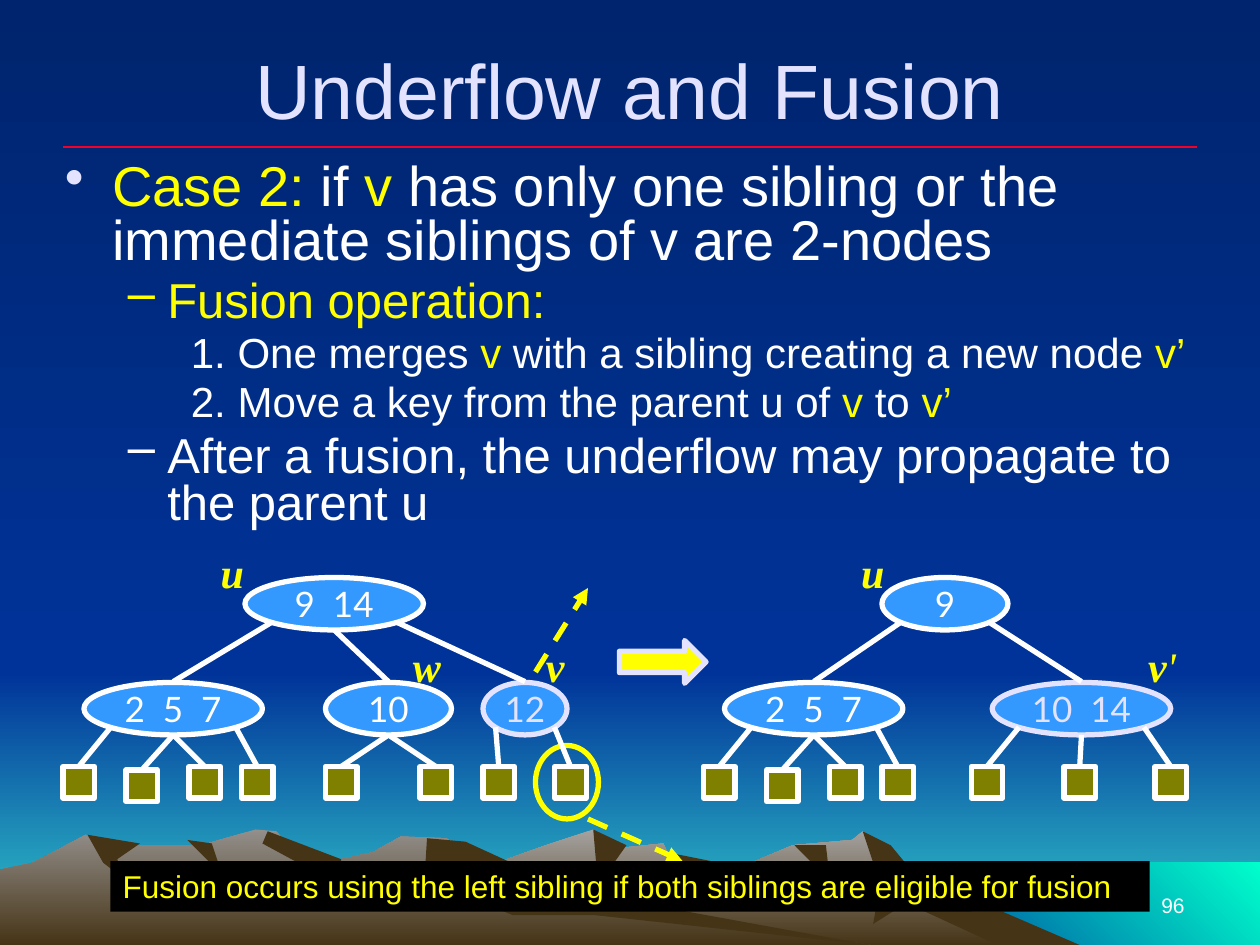
"""Build the slide on underflow and fusion in a (2,4) tree."""
import pptx
import pptx.dml.color
import pptx.enum.dml
import pptx.enum.shapes
import pptx.enum.text
import pptx.oxml
import pptx.oxml.ns
import pptx.util

Pt = pptx.util.Pt
RGBColor = pptx.dml.color.RGBColor
MSO_SHAPE = pptx.enum.shapes.MSO_SHAPE
PP_ALIGN = pptx.enum.text.PP_ALIGN
MSO_ANCHOR = pptx.enum.text.MSO_ANCHOR
qn = pptx.oxml.ns.qn

WHITE = RGBColor.from_string("FFFFFF")
YELLOW = RGBColor.from_string("FFFF00")
LAVENDER = RGBColor.from_string("E3E3FF")
BLACK = RGBColor.from_string("000000")
RED = RGBColor.from_string("EF0129")
NODE_BLUE = RGBColor.from_string("3399FF")
OLIVE = RGBColor.from_string("808000")
NIGHT = RGBColor.from_string("00246D")
SKY = RGBColor.from_string("003399")
TEAL = RGBColor.from_string("33CCCC")
AQUA = RGBColor.from_string("00FFCC")
BROWN = RGBColor.from_string("463416")
STONE = RGBColor.from_string("A5A29F")
DARK_STONE = RGBColor.from_string("938F8B")


def add_text(para, text, size=20, font="Arial", color=WHITE, bold=False, italic=False):
    span = para.add_run()
    span.text = text
    span.font.size = Pt(size)
    span.font.name = font
    span.font.color.rgb = color
    span.font.bold = bold
    span.font.italic = italic


def add_line(start, end, color=WHITE, width=3, arrow=False):
    line = page.shapes.add_connector(
        pptx.enum.shapes.MSO_CONNECTOR.STRAIGHT, *[Pt(value) for value in start + end])
    line.line.color.rgb = color
    line.line.width = Pt(width)
    if arrow:
        line.line.dash_style = pptx.enum.dml.MSO_LINE.DASH
        head = pptx.oxml.parse_xml(f'<a:tailEnd {pptx.oxml.ns.nsdecls("a")} type="triangle"/>')
        line.line._get_or_add_ln().append(head)
    properties = line._element.spPr
    properties.append(properties.makeelement(qn("a:effectLst"), {}))


deck = pptx.Presentation()
deck.slide_width = Pt(720)
deck.slide_height = Pt(540)
page = deck.slides.add_slide(deck.slide_layouts[6])

backdrop = page.background.fill
backdrop.gradient()
backdrop.gradient_angle = 270
for stop, color in zip(backdrop.gradient_stops, (NIGHT, SKY)):
    stop.color.rgb = color

PANELS = [((SKY, TEAL), 270, 0, 384, 540), ((NIGHT, SKY), 270, 0, 0, 384),
          ((SKY, AQUA), 45, 492, 493, 540)]
SCENERY = [(colors, angle, [(left, top), (720, top), (720, bottom), (left, bottom)])
           for colors, angle, left, top, bottom in PANELS]
SCENERY += [
    ((STONE, BROWN), 270, [
        (186, 540), (235, 510), (284, 493), (312, 483), (339, 474), (350, 485), (379, 482),
        (386, 497), (408, 502), (453, 483), (487, 480), (493, 475), (505, 483), (521, 503),
        (560, 524), (591, 540)]),
    ((BROWN,), 0, [(493, 475), (509, 483), (528, 506), (555, 521), (573, 521), (617, 540),
                   (570, 540), (518, 516), (499, 528), (503, 505)]),
    ((BROWN,), 0, [(339, 474), (358, 483), (341, 507), (335, 523), (341, 497)]),
    ((BROWN,), 0, [(381, 487), (426, 496), (415, 504), (418, 521), (386, 502)]),
    ((BROWN,), 0, [(454, 483), (472, 483), (473, 492), (463, 492)]),
    ((DARK_STONE, BROWN), 270, [
        (0, 540), (0, 497), (19, 493), (49, 477), (68, 483), (115, 483), (146, 474),
        (158, 475), (170, 490), (195, 491), (213, 487), (229, 478), (255, 479), (311, 513),
        (497, 540)]),
    ((BROWN,), 0, [(153, 475), (195, 491), (192, 510), (174, 495), (150, 482)]),
    ((BROWN,), 0, [(244, 479), (266, 481), (327, 509), (497, 540), (340, 523), (293, 523),
                   (269, 513), (261, 498), (243, 495)]),
    ((BROWN,), 0, [(107, 480), (121, 482), (127, 500)]),
    ((BROWN,), 0, [(50, 477), (80, 482), (67, 491), (72, 503), (59, 493)]),
]
for colors, angle, points in SCENERY:
    builder = page.shapes.build_freeform(*points[0], scale=Pt(1))
    builder.add_line_segments(points[1:], close=True)
    outline = builder.convert_to_shape()
    outline.shadow.inherit = False
    outline.line.fill.background()
    if len(colors) == 1:
        outline.fill.solid()
        outline.fill.fore_color.rgb = colors[0]
    else:
        outline.fill.gradient()
        outline.fill.gradient_angle = angle
        for stop, color in zip(outline.fill.gradient_stops, colors):
            stop.color.rgb = color

add_line((36, 84), (684, 84), color=RED, width=0.75)

SLOTS = {"left": (0.15, 25.6), "middle": (0.5, 30), "right": (0.85, 25.6)}
FOUR_LEAVES = [(-12, 438, "left"), (24, 440, "middle"), (60, 438, "middle"), (90, 438, "right")]
TREES = [
    ("9  14", 140, 102, [
        ("2  5  7", 48, 102, WHITE, "left", FOUR_LEAVES),
        ("10", 186, 72, WHITE, "middle", [(0, 438, "middle"), (54, 438, "middle")]),
        ("12", 276, 48, LAVENDER, "right", [(0, 438, "left"), (41, 438, "right")])]),
    ("9", 504, 72, [
        ("2  5  7", 414, 102, WHITE, "left", FOUR_LEAVES),
        ("10  14", 567, 102, LAVENDER, "right",
         [(-12, 438, "left"), (41, 438, "middle"), (93, 438, "right")])]),
]
shapes = []
edges = []
for root, root_left, root_width, children in TREES:
    shapes.append((MSO_SHAPE.OVAL, root, root_left, 330, root_width, 30, NODE_BLUE, WHITE))
    for text, left, width, color, root_slot, leaves in children:
        shapes.append((MSO_SHAPE.OVAL, text, left, 390, width, 30, NODE_BLUE, color))
        share, drop = SLOTS[root_slot]
        edges.append(((left + width / 2, 389.5), (root_left + share * root_width, 330 + drop)))
        for offset, top, slot in leaves:
            shapes.append((MSO_SHAPE.RECTANGLE, "", left + offset, top, 18, 18, OLIVE, WHITE))
            share, drop = SLOTS[slot]
            edges.append(((left + offset + 9, top), (left + share * width, 390 + drop)))
shapes += [(MSO_SHAPE.RIGHT_ARROW, "", 354, 366, 49.5, 24.5, YELLOW, LAVENDER),
           (MSO_SHAPE.OVAL, "", 306, 426, 36, 42, None, YELLOW)]

for kind, text, left, top, width, height, fill, edge in shapes:
    shape = page.shapes.add_shape(kind, Pt(left), Pt(top), Pt(width), Pt(height))
    shape.shadow.inherit = False
    shape.line.color.rgb = edge
    shape.line.width = Pt(3)
    if fill is None:
        shape.fill.background()
    else:
        shape.fill.solid()
        shape.fill.fore_color.rgb = fill
    if text:
        shape.text_frame.word_wrap = False
        shape.text_frame.vertical_anchor = MSO_ANCHOR.MIDDLE
        para = shape.text_frame.paragraphs[0]
        para.alignment = PP_ALIGN.CENTER
        add_text(para, text, font="Lato", color=edge)

for start, end in edges:
    add_line(start, end)
add_line((306, 384), (336, 336), color=YELLOW, arrow=True)
add_line((336, 468), (390, 492), color=YELLOW, arrow=True)

body = page.shapes.add_textbox(Pt(30), Pt(90), Pt(660), Pt(204)).text_frame
body.word_wrap = True
LEVELS = [(32, 27, -27, "•"), (28, 58.5, -22.5, "–"), (24, 90, -18, None)]
BODY = [
    (0, [("Case 2:", YELLOW), (" if ", WHITE), ("v", YELLOW),
         (" has only one sibling or the immediate siblings of v are 2-nodes", WHITE)]),
    (1, [("Fusion operation:", YELLOW)]),
    (2, [("1. One merges ", WHITE), ("v", YELLOW),
         (" with a sibling creating a new node ", WHITE), ("v’", YELLOW)]),
    (2, [("2. Move a key from the parent u of ", WHITE), ("v", YELLOW), (" to ", WHITE),
         ("v’", YELLOW)]),
    (1, [("After a fusion, the underflow may propagate to the parent u", WHITE)]),
]
for index, (level, spans) in enumerate(BODY):
    size, margin, indent, bullet = LEVELS[level]
    para = body.add_paragraph() if index else body.paragraphs[0]
    para.level = level
    para.line_spacing = 0.8
    para.space_before = Pt(size * 0.2 if index else 0)
    properties = para._p.get_or_add_pPr()
    properties.set("marL", str(Pt(margin)))
    properties.set("indent", str(Pt(indent)))
    if bullet:
        if level == 0:
            tint = properties.makeelement(qn("a:buClr"), {})
            tint.append(tint.makeelement(qn("a:srgbClr"), {"val": str(LAVENDER)}))
            properties.append(tint)
        properties.append(properties.makeelement(qn("a:buChar"), {"char": bullet}))
    for text, color in spans:
        add_text(para, text, size=size, color=color)

BOXES = [
    ("96", 516, 492, 168, 36, PP_ALIGN.RIGHT, MSO_ANCHOR.BOTTOM, dict(size=12)),
    ("Underflow and Fusion", 36, 18, 648, 65, PP_ALIGN.CENTER, MSO_ANCHOR.MIDDLE,
     dict(size=44, color=LAVENDER)),
    ("Fusion occurs using the left sibling if both siblings are eligible for fusion",
     63, 492, 594, 29, PP_ALIGN.LEFT, MSO_ANCHOR.TOP, dict(size=18, color=YELLOW)),
]
for text, left, top, width, height, align, anchor, style in BOXES:
    box = page.shapes.add_textbox(Pt(left), Pt(top), Pt(width), Pt(height))
    box.text_frame.word_wrap = True
    box.text_frame.vertical_anchor = anchor
    box.text_frame.paragraphs[0].alignment = align
    add_text(box.text_frame.paragraphs[0], text, **style)
box.fill.solid()
box.fill.fore_color.rgb = BLACK

LABELS = [("u", 126, 312, 13.5), ("w", 236, 366, 16), ("v", 312, 366, 10.6),
          ("u", 492, 312, 13.5), ("v", 656, 366, 16)]
for text, left, top, width in LABELS:
    frame = page.shapes.add_textbox(Pt(left), Pt(top), Pt(width), Pt(29)).text_frame
    frame.margin_left = frame.margin_right = frame.margin_top = frame.margin_bottom = 0
    frame.word_wrap = False
    para = frame.paragraphs[0]
    para.alignment = PP_ALIGN.CENTER
    add_text(para, text, size=24, font="Times New Roman", color=YELLOW, bold=True, italic=True)
add_text(para, "'", size=24, font="Times New Roman", color=YELLOW, italic=True)

deck.save("out.pptx")
